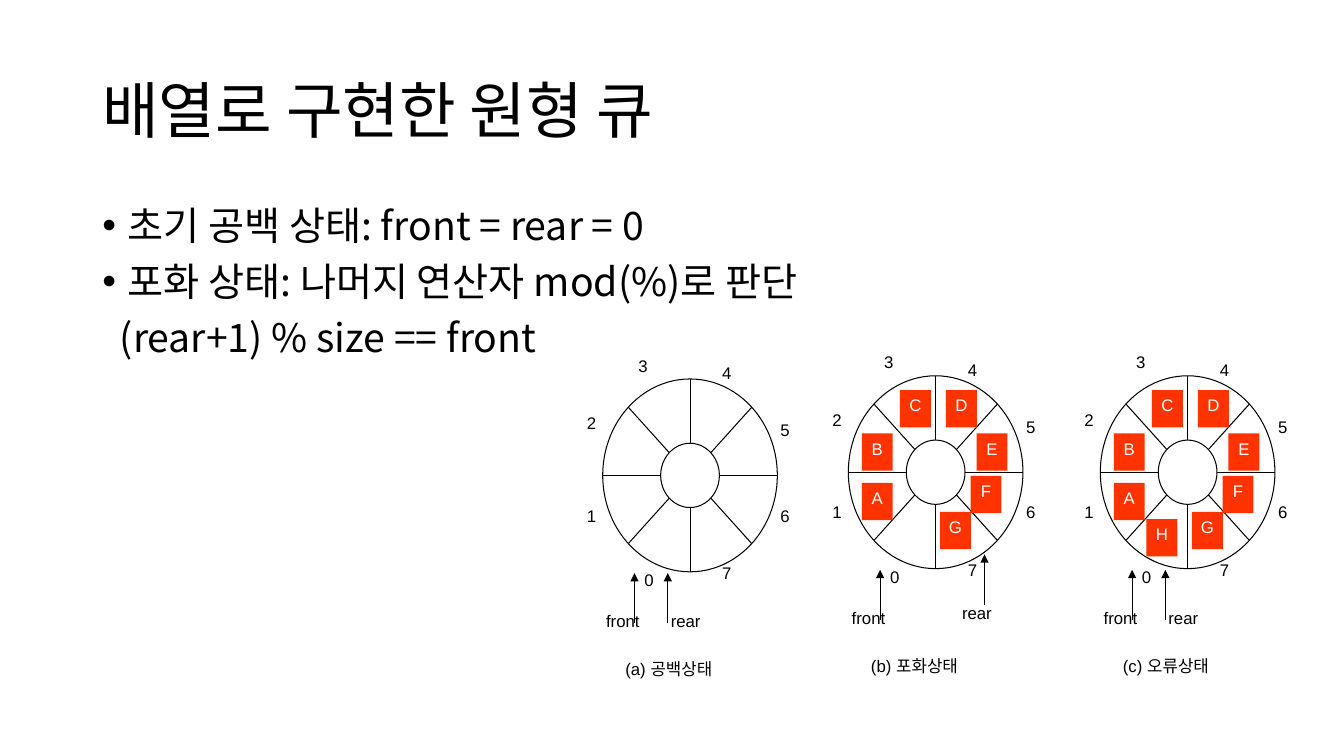
from math import cos, radians, sin

from lxml.etree import SubElement
from pptx import Presentation
from pptx.dml.color import RGBColor
from pptx.enum.shapes import MSO_CONNECTOR, MSO_SHAPE
from pptx.enum.text import MSO_ANCHOR, PP_ALIGN
from pptx.oxml.ns import qn
from pptx.util import Cm, Pt

BLACK = RGBColor(0x00, 0x00, 0x00)
WHITE = RGBColor(0xFF, 0xFF, 0xFF)
ORANGE_RED = RGBColor(0xFF, 0x33, 0x00)
KOREAN_FONT = "Noto Sans CJK KR"
LABEL_FONT = "Arial"

# Radii of the ring in cm, horizontal and vertical
OUTER = (2.2, 2.43)
INNER = (0.74, 0.81)

# Offsets from the ring centre in cm
INDEX_SPOTS = [(-1.03, 2.73), (-2.48, 1.1), (-2.48, -1.23), (-1.18, -2.68),
               (0.93, -2.5), (2.4, -1.05), (2.4, 1.1), (0.93, 2.55)]
ITEM_SPOTS = {"A": (-1.47, 0.74), "B": (-1.47, -0.51), "C": (-0.51, -1.6),
              "D": (0.65, -1.6), "E": (1.42, -0.51), "F": (1.27, 0.56),
              "G": (0.5, 1.47), "H": (-0.65, 1.65)}
# Arrow tip and label centre of each pointer
FRONT = ((-1.4, 2.46), (-1.64, 3.75))
REAR_AT_0 = ((-0.56, 2.46), (-0.1, 3.75))
REAR_AT_7 = ((1.23, 2.07), (1.05, 3.63))
ARROW_LENGTH = 1.27
LABEL_HEIGHT = 0.94

# Caption, ring centre, items held, place of rear
QUEUES = [("(a) 공백상태", (17.39, 11.98), "", REAR_AT_0),
          ("(b) 포화상태", (23.58, 11.9), "ABCDEFG", REAR_AT_7),
          ("(c) 오류상태", (29.93, 11.9), "ABCDEFGH", REAR_AT_0)]

# Text, left indent in cm, bullet
BODY = [("초기 공백 상태: front = rear = 0", 0.64, True),
        ("포화 상태: 나머지 연산자 mod(%)로 판단", 0.64, True),
        ("(rear+1) % size == front", 0.44, False)]


def shifted(centre, offset):
    return centre[0] + offset[0], centre[1] + offset[1]


def box_around(centre, width, height):
    return (Cm(centre[0] - width / 2), Cm(centre[1] - height / 2),
            Cm(width), Cm(height))


def write(paragraph, text, size, font=KOREAN_FONT, color=BLACK):
    run = paragraph.add_run()
    run.text = text
    for name, value in {"size": Pt(size), "name": font}.items():
        setattr(run.font, name, value)
    run.font.color.rgb = color
    east_asian = SubElement(run.font._element, qn("a:ea"))
    east_asian.set("typeface", KOREAN_FONT)


def add_heading(slide, text):
    heading = slide.shapes.add_textbox(Cm(2.33), Cm(1.01), Cm(29.21), Cm(3.68))
    frame = heading.text_frame
    for name, value in {"word_wrap": True,
                        "vertical_anchor": MSO_ANCHOR.MIDDLE}.items():
        setattr(frame, name, value)
    frame.paragraphs[0].line_spacing = 0.9
    write(frame.paragraphs[0], text, 44)


def add_body(slide):
    body = slide.shapes.add_textbox(Cm(2.33), Cm(5.07), Cm(29.21), Cm(12.09))
    frame = body.text_frame
    frame.word_wrap = True
    for number, (text, indent, bulleted) in enumerate(BODY):
        paragraph = frame.add_paragraph() if number else frame.paragraphs[0]
        for name, value in {"line_spacing": 0.9, "space_before": Pt(10)}.items():
            setattr(paragraph, name, value)
        properties = paragraph._p.get_or_add_pPr()
        properties.set("marL", str(Cm(indent)))
        properties.set("indent", str(-Cm(indent) if bulleted else 0))
        if bulleted:
            SubElement(properties, qn("a:buFont")).set("typeface", LABEL_FONT)
            SubElement(properties, qn("a:buChar")).set("char", "•")
        write(paragraph, text, 28)


def add_label(shapes, text, centre, width):
    label = shapes.add_textbox(*box_around(centre, width, LABEL_HEIGHT))
    label.text_frame.word_wrap = False
    write(label.text_frame.paragraphs[0], text, 12, LABEL_FONT)


def add_ellipse(shapes, centre, radii):
    ellipse = shapes.add_shape(
        MSO_SHAPE.OVAL, *box_around(centre, 2 * radii[0], 2 * radii[1]))
    ellipse.shadow.inherit = False
    ellipse.fill.background()
    ellipse.line.color.rgb = BLACK
    ellipse.line.width = Pt(0.75)


def add_line(shapes, start, end, arrow=False):
    line = shapes.add_connector(MSO_CONNECTOR.STRAIGHT,
                                *(Cm(value) for value in (*start, *end)))
    line.line.color.rgb = BLACK
    line.line.width = Pt(0.75)
    if arrow:
        head = SubElement(line.line._get_or_add_ln(), qn("a:tailEnd"))
        head.set("type", "triangle")
    SubElement(line._element.spPr, qn("a:effectLst"))


def add_item(shapes, letter, centre):
    item = shapes.add_shape(MSO_SHAPE.RECTANGLE,
                            *box_around(centre, 0.78, LABEL_HEIGHT))
    item.shadow.inherit = False
    item.fill.solid()
    item.fill.fore_color.rgb = ORANGE_RED
    item.line.fill.background()
    for name, value in {"word_wrap": False,
                        "vertical_anchor": MSO_ANCHOR.TOP}.items():
        setattr(item.text_frame, name, value)
    paragraph = item.text_frame.paragraphs[0]
    paragraph.alignment = PP_ALIGN.CENTER
    write(paragraph, letter, 12, LABEL_FONT, WHITE)


def add_pointer(shapes, name, centre, place, width):
    tip, label_spot = place
    x, y = shifted(centre, tip)
    add_line(shapes, (x, y + ARROW_LENGTH), (x, y), arrow=True)
    add_label(shapes, name, shifted(centre, label_spot), width)


def add_queue(slide, caption, centre, items, rear):
    shapes = slide.shapes.add_group_shape().shapes
    # Ring with eight slots
    for radii in (OUTER, INNER):
        add_ellipse(shapes, centre, radii)
    for angle in range(0, 360, 45):
        direction = cos(radians(angle)), sin(radians(angle))
        inner_end, outer_end = (
            shifted(centre, (radii[0] * direction[0], radii[1] * direction[1]))
            for radii in (INNER, OUTER))
        add_line(shapes, inner_end, outer_end)
    # Slot numbers
    for index, spot in enumerate(INDEX_SPOTS):
        add_label(shapes, str(index), shifted(centre, spot), 0.74)
    # Pointers and caption
    add_pointer(shapes, "front", centre, FRONT, 1.45)
    add_pointer(shapes, "rear", centre, rear, 1.27)
    add_label(shapes, caption, shifted(centre, (-0.38, 4.97)), 3)
    # Items held
    for letter in items:
        add_item(shapes, letter, shifted(centre, ITEM_SPOTS[letter]))


def main():
    deck = Presentation()
    deck.slide_width, deck.slide_height = Cm(33.87), Cm(19.05)
    slide = deck.slides.add_slide(deck.slide_layouts[6])
    add_heading(slide, "배열로 구현한 원형 큐")
    add_body(slide)
    for queue in QUEUES:
        add_queue(slide, *queue)
    deck.save("out.pptx")


if __name__ == "__main__":
    main()
